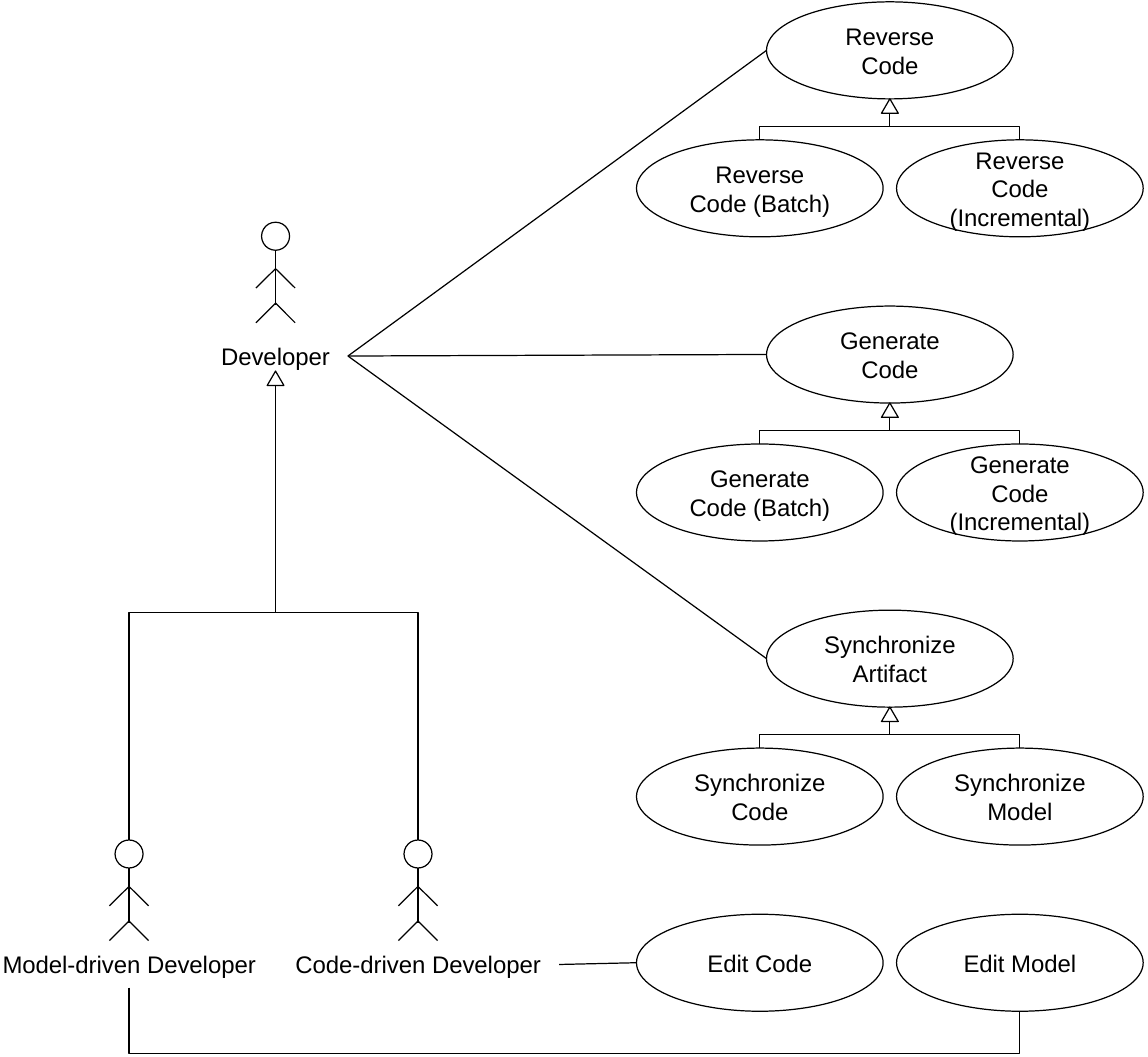
from dataclasses import dataclass

from lxml.etree import SubElement
from pptx import Presentation
from pptx.dml.color import RGBColor
from pptx.enum.shapes import MSO_CONNECTOR, MSO_SHAPE
from pptx.enum.text import MSO_ANCHOR, PP_ALIGN
from pptx.oxml.ns import qn
from pptx.util import Pt

COLORS = {"ink": "000000", "paper": "FFFFFF"}
FONT, FONT_SIZE, LINE_WIDTH = "Arial", 10, 0.5

# Use case grid
CASE_W, CASE_H = 103, 40.5
LEFT_X, RIGHT_X = 317.4, 426
PARENT_X = (LEFT_X + RIGHT_X) / 2
FIRST_Y, ROW_STEP, CHILD_DROP = 0.8, 127, 57.6
ARROW_W, ARROW_H = 7, 6

# Stick figure, measured from the centre of the top of the head
HEAD = 11.7
LIMBS = [
    (0, HEAD, 0, 34.5),
    (0, 19.4, -8.2, 27.5), (0, 19.4, 8.2, 27.5),
    (0, 33.8, -8.2, 42), (0, 33.8, 8.2, 42),
]
LABEL_H = 19.4


@dataclass
class Family:
    parent: str
    left: str
    right: str


@dataclass
class Actor:
    name: str
    x: float
    top: float
    label_top: float
    label_w: float

    @property
    def right(self) -> float:
        return self.x + self.label_w / 2

    @property
    def label_bottom(self) -> float:
        return self.label_top + LABEL_H


FAMILIES = [
    Family("Reverse Code", "Reverse Code (Batch)", "Reverse Code (Incremental)"),
    Family("Generate Code", "Generate Code (Batch)", "Generate Code (Incremental)"),
    Family("Synchronize Artifact", "Synchronize Code", "Synchronize Model"),
]
developer = Actor("Developer", 115.1, 92.8, 139, 60.5)
model_dev = Actor("Model-driven Developer", 53.9, 350.8, 393.1, 121.7)
code_dev = Actor("Code-driven Developer", 174.6, 350.8, 393.1, 118)


def color(name: str) -> RGBColor:
    return RGBColor.from_string(COLORS[name])


def set_line(sp) -> None:
    sp.line.color.rgb = color("ink")
    sp.line.width = Pt(LINE_WIDTH)


def write(tf, text: str) -> None:
    p = tf.paragraphs[0]
    p.text = text
    p.alignment = PP_ALIGN.CENTER
    p.font.name, p.font.size = FONT, Pt(FONT_SIZE)
    p.font.color.rgb = color("ink")


def add_outline(shapes, kind, x: float, top: float, w: float, h: float):
    """Draw an unfilled preset shape centred on x."""
    sp = shapes.add_shape(kind, Pt(x - w / 2), Pt(top), Pt(w), Pt(h))
    sp.shadow.inherit = False
    sp.fill.background()
    set_line(sp)
    return sp


def add_line(shapes, x1: float, y1: float, x2: float, y2: float,
             kind=MSO_CONNECTOR.STRAIGHT):
    c = shapes.add_connector(kind, Pt(x1), Pt(y1), Pt(x2), Pt(y2))
    set_line(c)
    SubElement(c._element.spPr, qn("a:effectLst"))
    return c


def add_elbow(shapes, x1: float, y1: float, x2: float, y2: float,
              bend: float = 0.5) -> None:
    """Draw a vertical-horizontal-vertical connector, turned by 90 degrees."""
    cx, cy = (x1 + x2) / 2, (y1 + y2) / 2
    dx, dy = (x2 - x1) / 2, (y2 - y1) / 2
    c = add_line(shapes, cx - dy, cy + dx, cx + dy, cy - dx, MSO_CONNECTOR.ELBOW)
    props = c._element.spPr
    props.find(qn("a:xfrm")).set("rot", str(90 * 60000))
    geom = props.find(qn("a:prstGeom"))
    guides = geom.find(qn("a:avLst"))
    if guides is None:
        guides = SubElement(geom, qn("a:avLst"))
    SubElement(guides, qn("a:gd"), name="adj1", fmla=f"val {round(bend * 100000)}")


def add_case(shapes, text: str, x: float, top: float) -> None:
    sp = add_outline(shapes, MSO_SHAPE.OVAL, x, top, CASE_W, CASE_H)
    tf = sp.text_frame
    tf.word_wrap = True
    tf.vertical_anchor = MSO_ANCHOR.MIDDLE
    tf.margin_left = tf.margin_right = Pt(5.2)
    tf.margin_top = tf.margin_bottom = Pt(2.6)
    write(tf, text)


def add_generalization(shapes, x: float, top: float, child_top: float,
                       child_xs: tuple[float, float]) -> None:
    sp = add_outline(shapes, MSO_SHAPE.ISOSCELES_TRIANGLE, x, top, ARROW_W, ARROW_H)
    sp.fill.solid()
    sp.fill.fore_color.rgb = color("paper")
    for child_x in child_xs:
        add_elbow(shapes, child_x, child_top, x, top + ARROW_H)


def add_actor(shapes, actor: Actor) -> None:
    figure = shapes.add_group_shape().shapes
    add_outline(figure, MSO_SHAPE.OVAL, actor.x, actor.top, HEAD, HEAD)
    for x1, y1, x2, y2 in LIMBS:
        add_line(figure, actor.x + x1, actor.top + y1, actor.x + x2, actor.top + y2)
    label = figure.add_textbox(Pt(actor.x - actor.label_w / 2), Pt(actor.label_top),
                               Pt(actor.label_w), Pt(LABEL_H))
    label.text_frame.word_wrap = False
    write(label.text_frame, actor.name)


prs = Presentation()
prs.slide_width, prs.slide_height = Pt(479.5), Pt(441.4)
shapes = prs.slides.add_slide(prs.slide_layouts[6]).shapes

# Use case families, each linked to the developer
for row, family in enumerate(FAMILIES):
    top = FIRST_Y + row * ROW_STEP
    add_case(shapes, family.parent, PARENT_X, top)
    add_case(shapes, family.left, LEFT_X, top + CHILD_DROP)
    add_case(shapes, family.right, RIGHT_X, top + CHILD_DROP)
    add_generalization(shapes, PARENT_X, top + CASE_H, top + CHILD_DROP,
                       (LEFT_X, RIGHT_X))
    add_line(shapes, developer.right, developer.label_top + LABEL_H / 2,
             PARENT_X - CASE_W / 2, top + CASE_H / 2)

# Editing use cases
edit_top = FIRST_Y + len(FAMILIES) * ROW_STEP
add_case(shapes, "Edit Code", LEFT_X, edit_top)
add_case(shapes, "Edit Model", RIGHT_X, edit_top)

# Actors and their hierarchy
for actor in (developer, model_dev, code_dev):
    add_actor(shapes, actor)
add_generalization(shapes, developer.x, 155, model_dev.top, (model_dev.x, code_dev.x))

# Links from the specialised developers to the editing use cases
add_line(shapes, code_dev.right, code_dev.label_top + LABEL_H / 2,
         LEFT_X - CASE_W / 2, edit_top + CASE_H / 2)
add_elbow(shapes, model_dev.x, model_dev.label_bottom,
          RIGHT_X, edit_top + CASE_H, bend=2.8)

prs.save("out.pptx")
